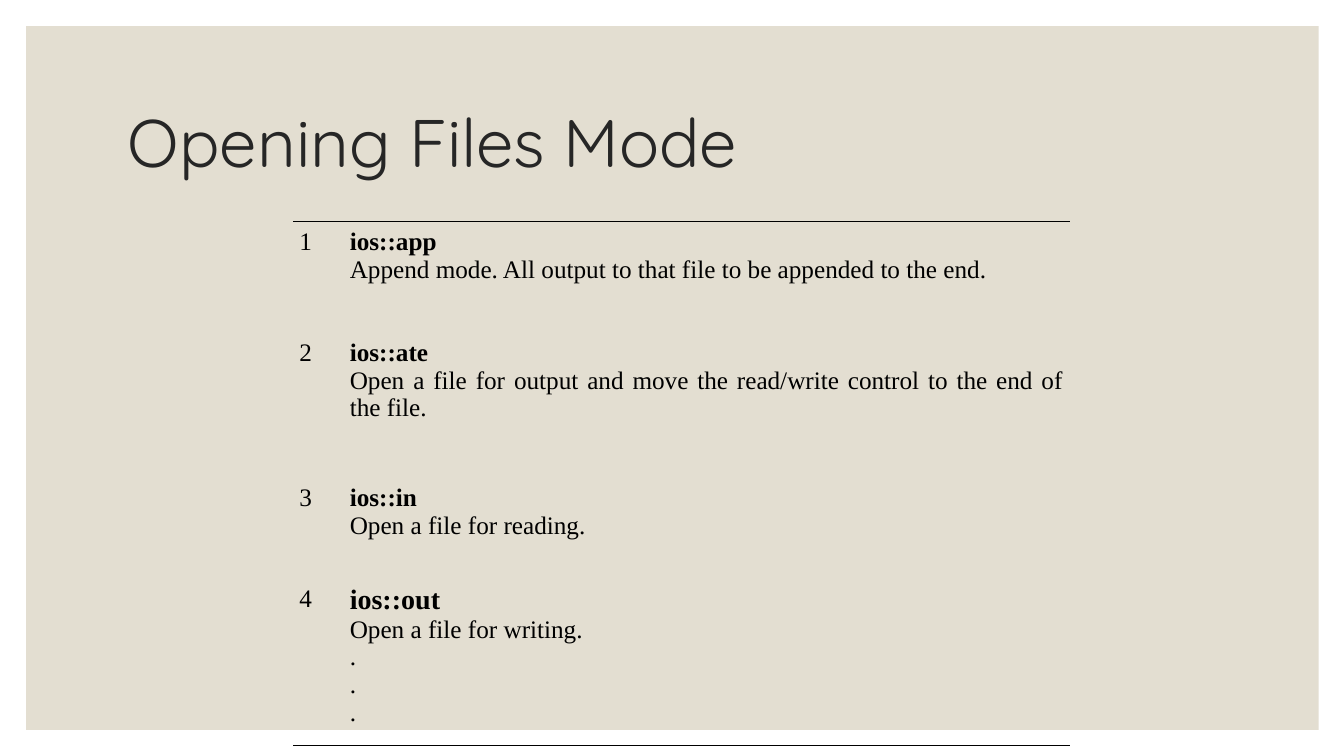
from lxml import etree
from pptx import Presentation
from pptx.dml.color import RGBColor
from pptx.enum.shapes import MSO_SHAPE
from pptx.enum.text import MSO_ANCHOR, PP_ALIGN
from pptx.oxml.ns import qn
from pptx.util import Inches, Pt

RECT = MSO_SHAPE.RECTANGLE
MIDDLE = MSO_ANCHOR.MIDDLE
LEFT = PP_ALIGN.LEFT
JUSTIFY = PP_ALIGN.JUSTIFY

SAND = RGBColor(0xE3, 0xDE, 0xD1)
DARK = RGBColor(0x26, 0x26, 0x26)
BLACK = RGBColor(0, 0, 0)

WIDE, HIGH = 13.33, 7.5
PLAIN_GRID = "{2D5ABB26-0587-4C30-8999-92F81FD0307C}"
SERIF = {"name": "Times New Roman", "size": Pt(18), "bold": False}
TITLE = {"name": "Quicksand", "size": Pt(48), "bold": False}
COLS = [3.75, 54]
ROWS = [14.67, 19.2, 13.33, 14]
MODES = [
    ("ios::app", 18, ["Append mode. All output to that file to be appended to the end."]),
    ("ios::ate", 18, ["Open a file for output and move the read/write control to the end of the file."]),
    ("ios::in", 18, ["Open a file for reading."]),
    ("ios::out", 20, ["Open a file for writing.", ".", ".", "."]),
]


def across(share):
    return Inches(WIDE * share / 100)


def down(share):
    return Inches(HIGH * share / 100)


def place(left, top, width, height):
    return across(left), down(top), across(width), down(height)


def assign(target, values):
    for key, value in values.items():
        setattr(target, key, value)


def write(para, text, style, color, align):
    para.alignment = align
    run = para.add_run()
    run.text = text
    assign(run.font, style)
    run.font.color.rgb = color


def add_panel(slide):
    panel = slide.shapes.add_shape(RECT, *place(1.95, 3.47, 96.17, 93.07))
    panel.shadow.inherit = False
    panel.fill.solid()
    panel.fill.fore_color.rgb = SAND
    panel.line.fill.background()


def add_title(slide, text):
    frame = slide.shapes.add_textbox(*place(8.78, 9.33, 82.52, 20)).text_frame
    assign(frame, {"word_wrap": True, "vertical_anchor": MIDDLE})
    para = frame.paragraphs[0]
    para.line_spacing = 0.9
    write(para, text, TITLE, DARK, LEFT)


def add_rule(cell, side):
    line = etree.Element(qn("a:" + side), w=str(Pt(1)))
    fill = etree.SubElement(line, qn("a:solidFill"))
    etree.SubElement(fill, qn("a:srgbClr"), val=str(BLACK))
    cell._tc.get_or_add_tcPr().insert(0, line)


def fill_cell(cell, lines, align):
    inset = Inches(0.06)
    assign(cell, {"margin_left": inset, "margin_right": inset,
                  "margin_top": inset, "margin_bottom": inset})
    cell.fill.background()
    frame = cell.text_frame
    for index, (text, style) in enumerate(lines):
        para = frame.add_paragraph() if index else frame.paragraphs[0]
        write(para, text, style, BLACK, align)


def add_modes(slide):
    spot = place(21.83, 29.33, sum(COLS), sum(ROWS))
    table = slide.shapes.add_table(len(ROWS), len(COLS), *spot).table
    assign(table, {"first_row": False, "horz_banding": False})
    table._tbl.tblPr.find(qn("a:tableStyleId")).text = PLAIN_GRID
    for col, share in zip(table.columns, COLS):
        col.width = across(share)
    for row, share in zip(table.rows, ROWS):
        row.height = down(share)
    for index, (name, size, notes) in enumerate(MODES):
        head = (name, {**SERIF, "size": Pt(size), "bold": True})
        body = [(note, SERIF) for note in notes]
        fill_cell(table.cell(index, 0), [(str(index + 1), SERIF)], LEFT)
        fill_cell(table.cell(index, 1), [head, *body], JUSTIFY)
    for index in range(len(COLS)):
        add_rule(table.cell(0, index), "lnT")
        add_rule(table.cell(len(ROWS) - 1, index), "lnB")


def main():
    deck = Presentation()
    assign(deck, {"slide_width": Inches(WIDE), "slide_height": Inches(HIGH)})
    slide = deck.slides.add_slide(deck.slide_layouts[6])
    add_panel(slide)
    add_title(slide, "Opening Files Mode")
    add_modes(slide)
    deck.save("out.pptx")


if __name__ == "__main__":
    main()
